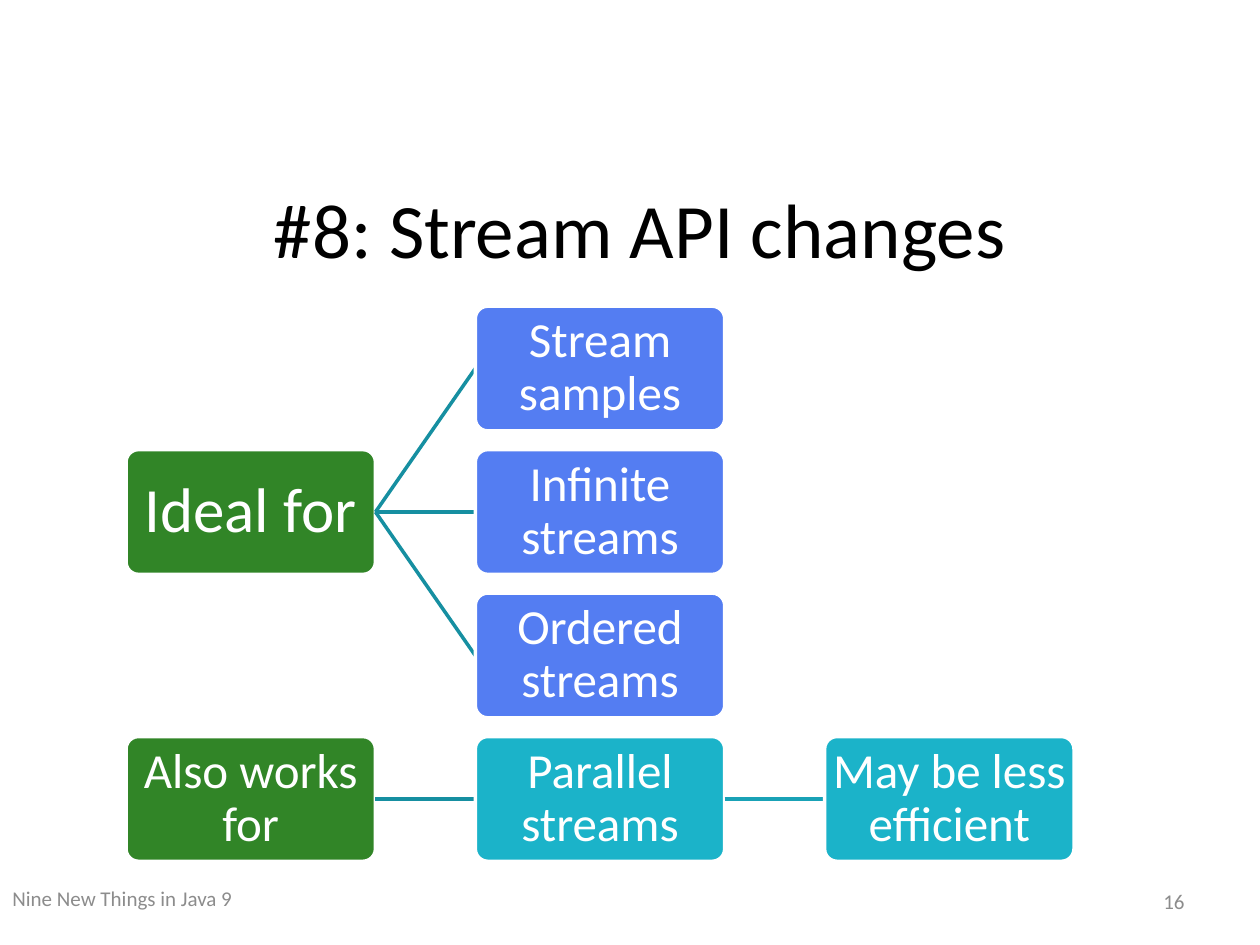
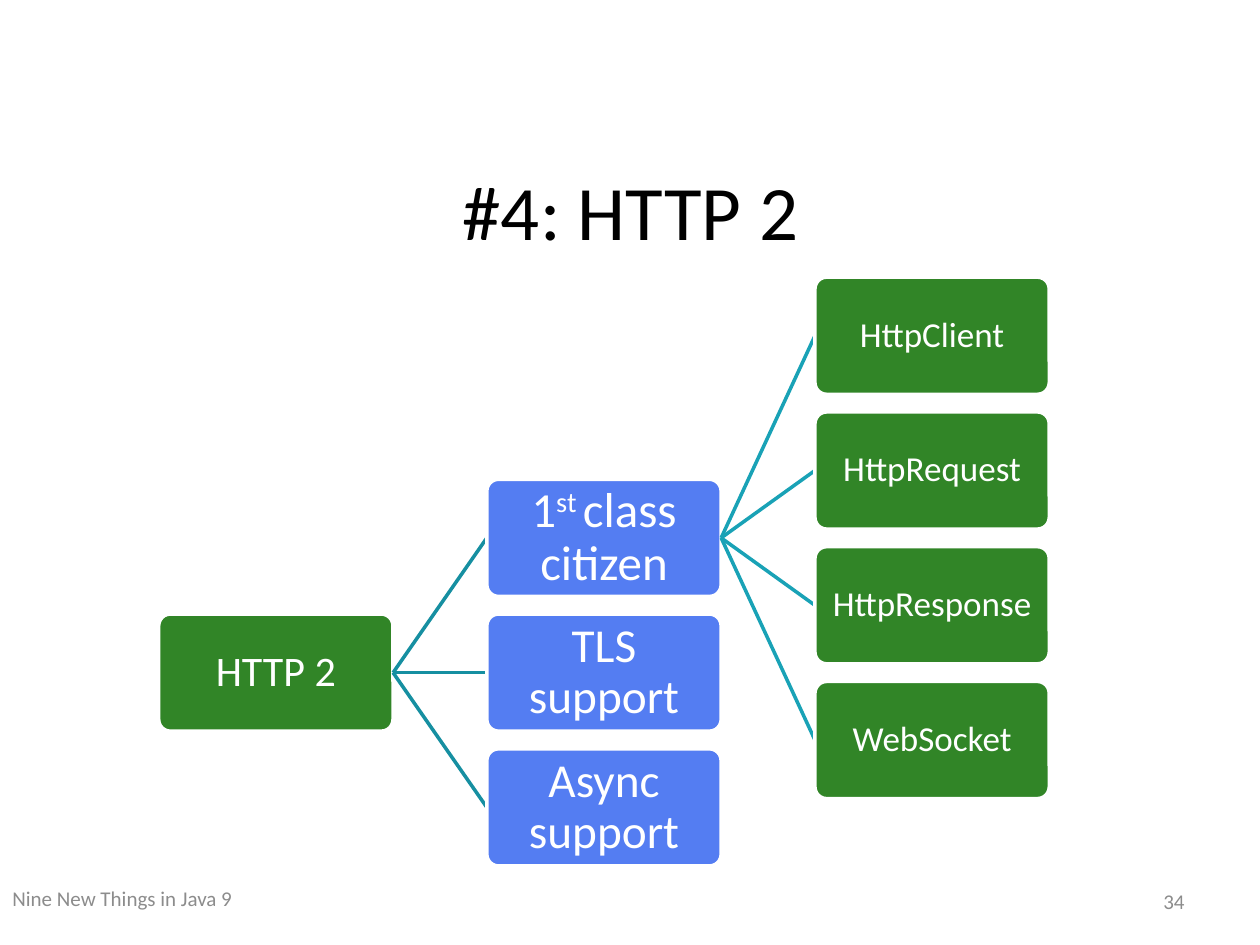
from dataclasses import dataclass
from typing import Any

from lxml import etree
from pptx import Presentation
from pptx.dml.color import RGBColor
from pptx.enum.shapes import MSO_CONNECTOR, MSO_SHAPE
from pptx.enum.text import MSO_ANCHOR, MSO_AUTO_SIZE, PP_ALIGN
from pptx.oxml.ns import qn
from pptx.util import Inches, Pt

ROUNDED = MSO_SHAPE.ROUNDED_RECTANGLE
STRAIGHT = MSO_CONNECTOR.STRAIGHT
TOP, MIDDLE = MSO_ANCHOR.TOP, MSO_ANCHOR.MIDDLE
NO_FIT = MSO_AUTO_SIZE.NONE
LEFT, CENTER, RIGHT = PP_ALIGN.LEFT, PP_ALIGN.CENTER, PP_ALIGN.RIGHT

FONT = "Calibri"
WHITE, BLACK, GREY = "FFFFFF", "000000", "8C8C8C"
GREEN, BLUE, CYAN = "318527", "547DF2", "1BB3C9"
LINK_COLOURS = ("168FA1", "19A2B6")
FOOTER = "Nine New Things in Java 9"
TITLE_ONLY = 5
COLUMN_STEP, ROW_STEP = 1.4, 1.15
SUPERSCRIPT = "30000"


@dataclass(frozen=True)
class Topic:
    wording: tuple[str, ...]
    row: float
    fill: str
    size: int = 28
    inset: float = 0.02
    children: tuple["Topic", ...] = ()


@dataclass(frozen=True)
class Tree:
    left: float
    top: float
    node_width: float
    roots: tuple[Topic, ...]

    @property
    def node_height(self) -> float:
        return self.node_width / 2

    def corner(self, topic: Topic, depth: int) -> tuple[float, float]:
        return (self.left + depth * self.node_width * COLUMN_STEP,
                self.top + topic.row * self.node_height * ROW_STEP)


@dataclass(frozen=True)
class TopicSlide:
    title: str
    title_box: tuple[float, float, float, float]
    number: str
    tree: Tree


def colour(value: str) -> RGBColor:
    return RGBColor.from_string(value)


def apply(target: Any, values: dict[str, Any]) -> None:
    for name, value in values.items():
        setattr(target, name, value)


def write(frame: Any, wording: tuple[str, ...], size: int, ink: str,
          align: Any, anchor: Any, spacing: float = 1.0) -> None:
    apply(frame, {"word_wrap": True, "auto_size": NO_FIT, "vertical_anchor": anchor})
    paragraph = frame.paragraphs[0]
    apply(paragraph, {"alignment": align, "line_spacing": spacing})
    for index, words in enumerate(wording):
        run = paragraph.add_run()
        run.text = words
        apply(run.font, {"name": FONT, "size": Pt(size)})
        run.font.color.rgb = colour(ink)
        if index % 2:
            run._r.get_or_add_rPr().set("baseline", SUPERSCRIPT)


def draw_link(slide: Any, start: tuple[float, float], end: tuple[float, float],
              ink: str) -> None:
    link = slide.shapes.add_connector(STRAIGHT, *map(Inches, start + end))
    link.line.color.rgb = colour(ink)
    link.line.width = Pt(2)
    etree.SubElement(link._element.spPr, qn("a:effectLst"))


def draw_topic(slide: Any, tree: Tree, topic: Topic, depth: int = 0) -> None:
    left, top = tree.corner(topic, depth)
    node = slide.shapes.add_shape(
        ROUNDED, *map(Inches, (left, top, tree.node_width, tree.node_height)))
    node.adjustments[0] = 0.1
    node.shadow.inherit = False
    node.fill.solid()
    node.fill.fore_color.rgb = colour(topic.fill)
    node.line.color.rgb = colour(WHITE)
    node.line.width = Pt(2)
    sides = ("left", "right", "top", "bottom")
    apply(node.text_frame, {f"margin_{side}": Inches(topic.inset) for side in sides})
    write(node.text_frame, topic.wording, topic.size, WHITE, CENTER, MIDDLE, 0.9)
    half = tree.node_height / 2
    for child in topic.children:
        child_left, child_top = tree.corner(child, depth + 1)
        draw_link(slide, (left + tree.node_width, top + half),
                  (child_left, child_top + half), LINK_COLOURS[depth])
        draw_topic(slide, tree, child, depth + 1)


def draw_slide(deck: Any, content: TopicSlide) -> None:
    slide = deck.slides.add_slide(deck.slide_layouts[TITLE_ONLY])
    title = slide.shapes.title
    apply(title, dict(zip(("left", "top", "width", "height"),
                          map(Inches, content.title_box))))
    write(title.text_frame, (content.title,), 44, BLACK, CENTER, TOP)
    for root in content.tree.roots:
        draw_topic(slide, content.tree, root)
    for text, box, align in (
        (FOOTER, (0, 6.93, 10, 0.4), LEFT),
        (content.number, (7.17, 6.95, 2.33, 0.4), RIGHT),
    ):
        note = slide.shapes.add_textbox(*map(Inches, box))
        write(note.text_frame, (text,), 12, GREY, align, MIDDLE)


STREAM_USES = tuple(
    Topic((label,), row, BLUE)
    for row, label in enumerate(("Stream samples", "Infinite streams", "Ordered streams")))

HTTP_CLASSES = tuple(
    Topic((label,), row, GREEN, 20, 0.01)
    for row, label in enumerate(("HttpClient", "HttpRequest", "HttpResponse", "WebSocket")))

SLIDES = (
    TopicSlide("#8: Stream API changes", (1.58, 1.39, 7, 0.84), "16", Tree(1, 2.43, 1.98, (
        Topic(("Ideal for",), 1, GREEN, 36, 0.03, STREAM_USES),
        Topic(("Also works for",), 3, GREEN, children=(
            Topic(("Parallel streams",), 3, CYAN, children=(
                Topic(("May be less efficient",), 3, CYAN),)),)),
    ))),
    TopicSlide("#4: HTTP 2", (0.92, 1.25, 8.17, 0.84), "34", Tree(1.26, 2.2, 1.86, (
        Topic(("HTTP 2",), 2.5, GREEN, 24, children=(
            Topic(("1", "st ", "class citizen"), 1.5, BLUE, children=HTTP_CLASSES),
            Topic(("TLS support",), 2.5, BLUE, 27),
            Topic(("Async support",), 3.5, BLUE, 27),
        )),
    ))),
)


def main() -> None:
    deck = Presentation()
    apply(deck, {"slide_width": Inches(10), "slide_height": Inches(7.5)})
    for content in SLIDES:
        draw_slide(deck, content)
    deck.save("out.pptx")


if __name__ == "__main__":
    main()
